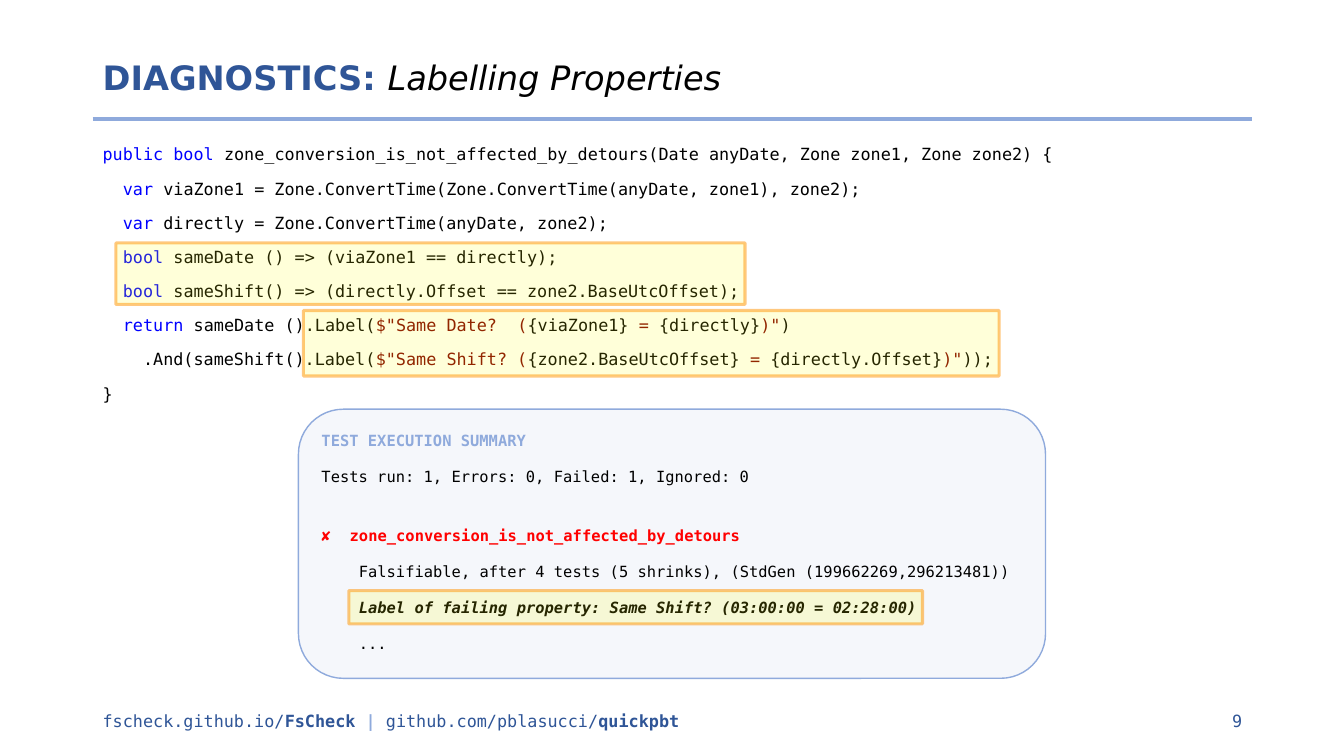
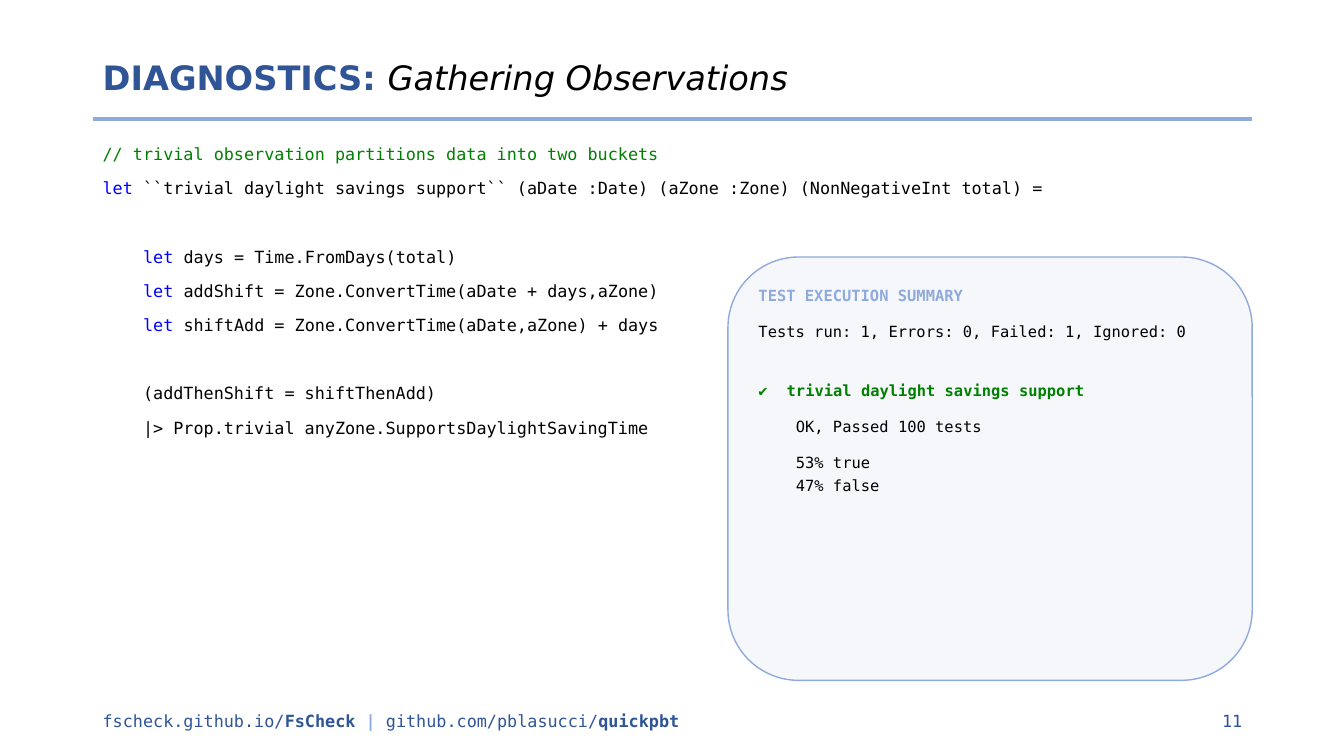
"""Build two slides on diagnosing property-based tests."""
from dataclasses import dataclass

from lxml import etree
from pptx import Presentation
from pptx import util as u
from pptx.dml.color import RGBColor
from pptx.enum import shapes, text
from pptx.oxml.ns import qn


@dataclass(frozen=True)
class Theme:
    navy: str = "2F5597"
    sky: str = "8FAADC"
    panel: str = "DAE3F3"
    black: str = "000000"
    blue: str = "0000FF"
    maroon: str = "800000"
    green: str = "008000"
    red: str = "FF0000"
    yellow: str = "FFFF00"
    orange: str = "FF9300"
    sans: str = "DejaVu Sans"
    mono: str = "DejaVu Sans Mono"
    title_size: int = 24
    code_size: int = 12
    panel_size: int = 11


@dataclass(frozen=True)
class Line:
    runs: tuple
    before: float = 10
    indent: float = 0
    hang: float = 0


THEME = Theme()
STYLES = {
    "plain": (THEME.black, ""),
    "keyword": (THEME.blue, ""),
    "string": (THEME.maroon, ""),
    "comment": (THEME.green, ""),
    "heading": (THEME.sky, "b"),
    "failed": (THEME.red, "b"),
    "tick": (THEME.green, ""),
    "passed": (THEME.green, "b"),
    "label": (THEME.black, "bi"),
    "topic": (THEME.navy, "b"),
    "subject": (THEME.black, "i"),
    "footer": (THEME.navy, ""),
    "footer_bold": (THEME.navy, "b"),
    "divider": (THEME.sky, "b"),
}

LEFT, WIDTH, RULE_Y = 0.92, 11.5, 1.18
OUTPUT_INDENT, MARK_HANG = 0.37, 0.28
FOOTER = [
    ("fscheck.github.io/", "footer"), ("FsCheck ", "footer_bold"), ("| ", "divider"),
    ("github.com/pblasucci/", "footer"), ("quickpbt", "footer_bold"),
]
SUMMARY = [
    Line((("TEST EXECUTION SUMMARY", "heading"),)),
    Line((("Tests run: 1, Errors: 0, Failed: 1, Ignored: 0", "plain"),)),
]


def code(*runs, before=10):
    return Line(tuple(run if isinstance(run, tuple) else (run, "plain") for run in runs), before)


def output(content, style="plain", before=10):
    return Line(((content, style),), before, OUTPUT_INDENT)


def result(mark, name, mark_style, name_style):
    return Line(((mark + "\t", mark_style), (name, name_style)), 26, MARK_HANG, MARK_HANG)


def key(word):
    return word, "keyword"


def string(content):
    return content, "string"


SLIDES = [
    {
        "number": "9",
        "subject": "Labelling Properties",
        "code": [
            code(key("public bool "), "zone_conversion_is_not_affected_by_detours(Date anyDate, Zone zone1, Zone zone2) {"),
            code("  ", key("var "), "viaZone1 = Zone.ConvertTime(Zone.ConvertTime(anyDate, zone1), zone2);"),
            code("  ", key("var "), "directly = Zone.ConvertTime(anyDate, zone2);"),
            code("  ", key("bool "), "sameDate () => (viaZone1 == directly);"),
            code("  ", key("bool "), "sameShift() => (directly.Offset == zone2.BaseUtcOffset);"),
            code("  ", key("return "), "sameDate ().Label(", string('$"Same Date?  ('), "{viaZone1}",
                 string(" = "), "{directly}", string(')"'), ")"),
            code("    .And(sameShift().Label(", string('$"Same Shift? ('), "{zone2.BaseUtcOffset}",
                 string(" = "), "{directly.Offset}", string(')"'), "));"),
            code("}"),
        ],
        "code_height": 2.61,
        "panel_box": (2.96, 4.06, 7.41, 2.67),
        "panel": SUMMARY + [
            result("✘", "zone_conversion_is_not_affected_by_detours", "failed", "failed"),
            output("Falsifiable, after 4 tests (5 shrinks), (StdGen (199662269,296213481))"),
            output("Label of failing property: Same Shift? (03:00:00 = 02:28:00)", "label"),
            output("..."),
        ],
        "highlights": [(1.15, 2.41, 6.24, 0.61), (3.01, 3.08, 6.9, 0.65), (3.46, 5.86, 5.69, 0.33)],
    },
    {
        "number": "11",
        "subject": "Gathering Observations",
        "code": [
            code(("// trivial observation partitions data into two buckets", "comment")),
            code(key("let"), " ``trivial daylight savings support`` (aDate :Date) (aZone :Zone) (NonNegativeInt total) ="),
            code("    ", key("let"), " days = Time.FromDays(total)", before=34.4),
            code("    ", key("let "), "addShift = Zone.ConvertTime(aDate + days,aZone)"),
            code("    ", key("let "), "shiftAdd = Zone.ConvertTime(aDate,aZone) + days"),
            code("    (addThenShift = shiftThenAdd)", before=34.4),
            code("    |> Prop.trivial anyZone.SupportsDaylightSavingTime"),
        ],
        "code_height": 5.37,
        "panel_box": (7.22, 2.55, 5.2, 4.2),
        "panel": SUMMARY + [
            result("✔", "trivial daylight savings support", "tick", "passed"),
            output("OK, Passed 100 tests"),
            output("53% true"),
            output("47% false", before=0),
        ],
        "highlights": [],
    },
]


def write_text(frame, lines, *, size=THEME.code_size, font=THEME.mono, spacing=None,
               align=text.PP_ALIGN.LEFT, anchor=text.MSO_ANCHOR.TOP):
    frame.word_wrap = True
    frame.vertical_anchor = anchor
    for index, line in enumerate(lines):
        paragraph = frame.paragraphs[0] if index == 0 else frame.add_paragraph()
        paragraph.alignment = align
        if spacing:
            paragraph.line_spacing = spacing
        if index:
            paragraph.space_before = u.Pt(line.before)
        properties = paragraph._p.get_or_add_pPr()
        properties.set("marL", str(u.Inches(line.indent)))
        properties.set("indent", str(u.Inches(-line.hang)))
        for content, style in line.runs:
            color, emphasis = STYLES[style]
            run = paragraph.add_run()
            run.text = content
            run.font.name, run.font.size = font, u.Pt(size)
            run.font.bold, run.font.italic = "b" in emphasis, "i" in emphasis
            run.font.color.rgb = RGBColor.from_string(color)


def add_text(slide, box, lines, **options):
    shape = slide.shapes.add_textbox(*map(u.Inches, box))
    write_text(shape.text_frame, lines, **options)


def set_opacity(fill, percent):
    color = fill._xPr.find(qn("a:solidFill"))[0]
    etree.SubElement(color, qn("a:alpha")).set("val", str(percent * 1000))


def add_box(slide, kind, box, fill, opacity, line, line_width, line_opacity=100):
    shape = slide.shapes.add_shape(kind, *map(u.Inches, box))
    shape.shadow.inherit = False
    shape.fill.solid()
    shape.fill.fore_color.rgb = RGBColor.from_string(fill)
    set_opacity(shape.fill, opacity)
    shape.line.color.rgb = RGBColor.from_string(line)
    shape.line.width = u.Pt(line_width)
    if line_opacity < 100:
        set_opacity(shape.line.fill, line_opacity)
    return shape


def add_frame(slide, subject, number):
    middle = text.MSO_ANCHOR.MIDDLE
    add_text(slide, (LEFT, 6.95, 8, 0.4), [Line(tuple(FOOTER))], anchor=middle)
    add_text(slide, (LEFT + WIDTH - 3, 6.95, 3, 0.4), [Line(((number, "footer"),))],
             align=text.PP_ALIGN.RIGHT, anchor=middle)
    rule = slide.shapes.add_connector(
        shapes.MSO_CONNECTOR.STRAIGHT, *map(u.Inches, (LEFT, RULE_Y, LEFT + WIDTH, RULE_Y)))
    rule.line.color.rgb = RGBColor.from_string(THEME.sky)
    rule.line.width = u.Pt(2.25)
    etree.SubElement(rule._element.spPr, qn("a:effectLst"))
    title = Line((("DIAGNOSTICS: ", "topic"), (subject, "subject")))
    add_text(slide, (LEFT, 0.4, WIDTH, RULE_Y - 0.4), [title], size=THEME.title_size,
             font=THEME.sans, spacing=0.9, anchor=middle)


def build_slide(presentation, content):
    slide = presentation.slides.add_slide(presentation.slide_layouts[6])
    add_text(slide, (LEFT, 1.38, WIDTH, content["code_height"]), content["code"])
    add_frame(slide, content["subject"], content["number"])
    panel = add_box(slide, shapes.MSO_SHAPE.ROUNDED_RECTANGLE, content["panel_box"],
                    THEME.panel, 25, THEME.sky, 1)
    write_text(panel.text_frame, content["panel"], size=THEME.panel_size, spacing=1.2)
    for box in content["highlights"]:
        add_box(slide, shapes.MSO_SHAPE.RECTANGLE, box, THEME.yellow, 15, THEME.orange, 2.25, 50)


def main():
    presentation = Presentation()
    presentation.slide_width, presentation.slide_height = u.Inches(13.33), u.Inches(7.5)
    for content in SLIDES:
        build_slide(presentation, content)
    presentation.save("out.pptx")


if __name__ == "__main__":
    main()
